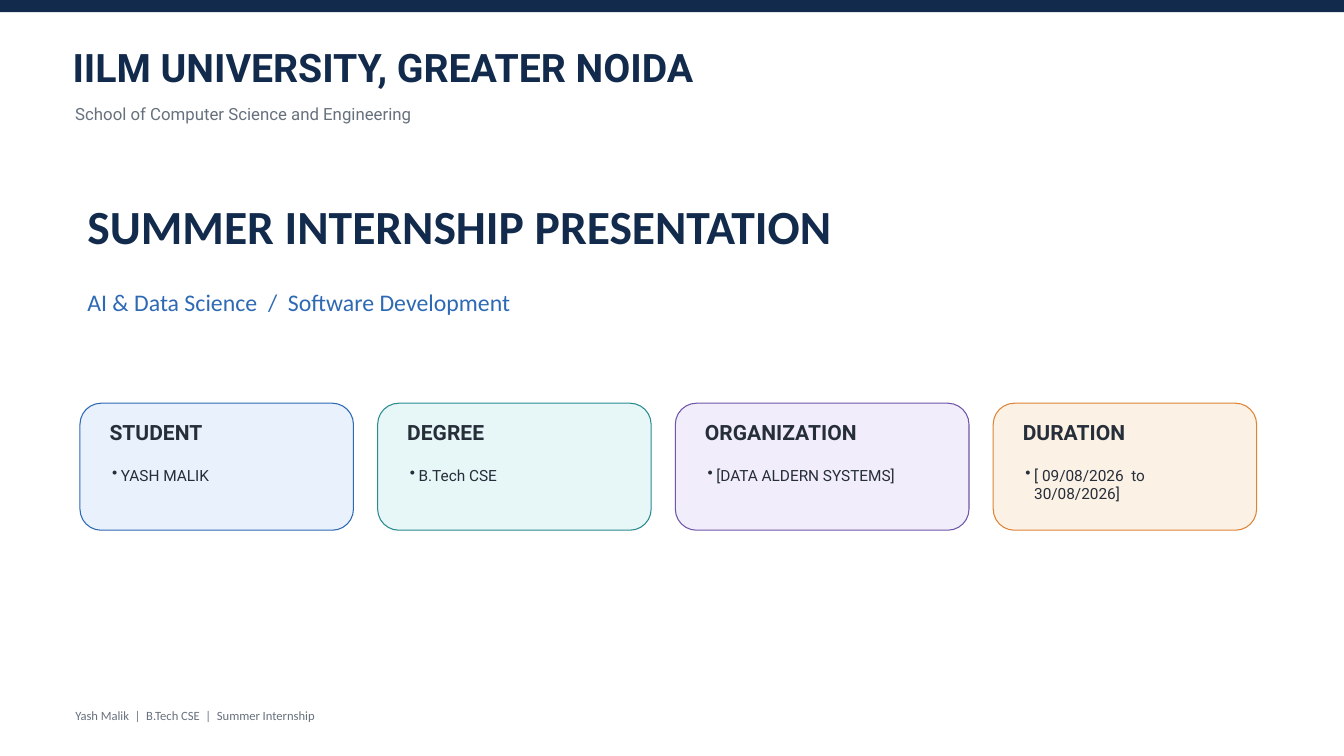
import pptx
import pptx.util
import pptx.dml.color
import pptx.enum.shapes
import pptx.enum.text
import pptx.oxml
import pptx.oxml.ns

Inches = pptx.util.Inches
Pt = pptx.util.Pt
RGBColor = pptx.dml.color.RGBColor

NAVY = RGBColor(0x12, 0x2A, 0x4C)
GRAY = RGBColor(0x67, 0x71, 0x7D)
INK = RGBColor(0x26, 0x2E, 0x3A)
BLUE = RGBColor(0x2E, 0x69, 0xB4)
TEAL = RGBColor(0x2A, 0x8B, 0x91)
PURPLE = RGBColor(0x6F, 0x56, 0xAA)
ORANGE = RGBColor(0xDE, 0x84, 0x37)
PALE_BLUE = RGBColor(0xE8, 0xF1, 0xFC)
PALE_TEAL = RGBColor(0xE7, 0xF7, 0xF7)
PALE_PURPLE = RGBColor(0xF1, 0xED, 0xFA)
PALE_ORANGE = RGBColor(0xFC, 0xF1, 0xE5)

SLIDE_WIDTH, SLIDE_HEIGHT = 20, 11.25
CARD_LEFT, CARD_TOP, CARD_HEIGHT, CARD_GAP = 1.19, 6, 1.89, 0.36
BULLET_INDENT = 0.13

UNIVERSITY = {"name": "Roboto", "size": 42, "bold": True, "color": NAVY}
SCHOOL = {"name": "Roboto", "size": 18, "bold": False, "color": GRAY}
TITLE = {"name": "Calibri", "size": 51, "bold": True, "color": NAVY}
SUBTITLE = {"name": "Calibri", "size": 25.5, "bold": False, "color": BLUE}
CARD_HEADING = {"name": "Roboto", "size": 22.5, "bold": True, "color": INK}
CARD_ITEM = {"name": "Roboto", "size": 16.5, "bold": False, "color": INK}
FOOTER = {"name": "Calibri", "size": 13.5, "bold": False, "color": GRAY}

# Heading, item, width, fill, outline
CARDS = [
    ("STUDENT", "YASH MALIK", 4.07, PALE_BLUE, BLUE),
    ("DEGREE", "B.Tech CSE", 4.07, PALE_TEAL, TEAL),
    ("ORGANIZATION", "[DATA ALDERN SYSTEMS]", 4.37, PALE_PURPLE, PURPLE),
    ("DURATION", "[ 09/08/2026  to  30/08/2026]", 3.92, PALE_ORANGE, ORANGE),
]


def add_bullet(paragraph):
    properties = paragraph._p.get_or_add_pPr()
    indent = Inches(BULLET_INDENT)
    properties.set("marL", str(indent))
    properties.set("indent", str(-indent))
    bullet = pptx.oxml.parse_xml(
        f'<a:buChar {pptx.oxml.ns.nsdecls("a")} char="•"/>')
    properties.append(bullet)


def write_text(shape, box, text, style, bulleted=False):
    """Place a text shape in box and fill it with one styled paragraph."""
    shape.left, shape.top, shape.width, shape.height = map(Inches, box)
    frame = shape.text_frame
    frame_format = {
        "margin_left": 0, "margin_top": 0, "margin_right": 0, "margin_bottom": 0,
        "word_wrap": True,
        "auto_size": pptx.enum.text.MSO_AUTO_SIZE.NONE,
        "vertical_anchor": pptx.enum.text.MSO_ANCHOR.TOP,
    }
    for attribute, value in frame_format.items():
        setattr(frame, attribute, value)

    paragraph = frame.paragraphs[0]
    if bulleted:
        add_bullet(paragraph)
    paragraph_format = {
        "alignment": pptx.enum.text.PP_ALIGN.LEFT,
        "line_spacing": Pt(style["size"] * 1.2),
        "space_before": Pt(0),
    }
    for attribute, value in paragraph_format.items():
        setattr(paragraph, attribute, value)

    run = paragraph.add_run()
    run.text = text
    font_format = {"name": style["name"], "size": Pt(style["size"]),
                   "bold": style["bold"]}
    for attribute, value in font_format.items():
        setattr(run.font, attribute, value)
    run.font.color.rgb = style["color"]


def add_text(slide, box, text, style, bulleted=False):
    shape = slide.shapes.add_textbox(*map(Inches, box))
    write_text(shape, box, text, style, bulleted)


def add_panel(slide, kind, box, fill, outline=None):
    shape = slide.shapes.add_shape(kind, *map(Inches, box))
    shape.shadow.inherit = False
    shape.fill.solid()
    shape.fill.fore_color.rgb = fill
    if outline is None:
        shape.line.fill.background()
    else:
        shape.line.color.rgb = outline
        shape.line.width = Pt(1.13)


def add_header(slide, left, top, width):
    add_text(slide, (left, top, width, 0.8),
             "IILM UNIVERSITY, GREATER NOIDA", UNIVERSITY)
    add_text(slide, (left + 0.04, top + 0.9, width, 0.43),
             "School of Computer Science and Engineering", SCHOOL)


def add_titles(slide, left, top, width):
    write_text(slide.shapes.title, (left, top, width, 0.93),
               "SUMMER INTERNSHIP PRESENTATION", TITLE)
    write_text(slide.placeholders[1], (left, top + 1.35, width, 0.85),
               "AI & Data Science  /  Software Development", SUBTITLE)


def add_card(slide, box, heading, item, fill, outline):
    left, top, width, height = box
    add_panel(slide, pptx.enum.shapes.MSO_SHAPE.ROUNDED_RECTANGLE,
              box, fill, outline)
    add_text(slide, (left + 0.44, top + 0.25, width - 0.82, 0.5),
             heading, CARD_HEADING)
    add_text(slide, (left + 0.48, top + 0.93, width - 0.89, 0.73),
             item, CARD_ITEM, bulleted=True)


def add_cards(slide, left, top, height):
    for heading, item, width, fill, outline in CARDS:
        add_card(slide, (left, top, width, height), heading, item, fill, outline)
        left += width + CARD_GAP


def main():
    presentation = pptx.Presentation()
    presentation.slide_width = Inches(SLIDE_WIDTH)
    presentation.slide_height = Inches(SLIDE_HEIGHT)
    slide = presentation.slides.add_slide(presentation.slide_layouts[0])

    # Top band
    add_panel(slide, pptx.enum.shapes.MSO_SHAPE.RECTANGLE,
              (0, 0, SLIDE_WIDTH, 0.18), NAVY)
    # University, title and detail cards
    add_header(slide, 1.08, 0.65, 17.06)
    add_titles(slide, 1.3, 2.93, 17.51)
    add_cards(slide, CARD_LEFT, CARD_TOP, CARD_HEIGHT)
    # Footer
    add_text(slide, (1.12, 10.53, 10.31, 0.31),
             "Yash Malik  |  B.Tech CSE  |  Summer Internship", FOOTER)

    presentation.save("out.pptx")


if __name__ == "__main__":
    main()
